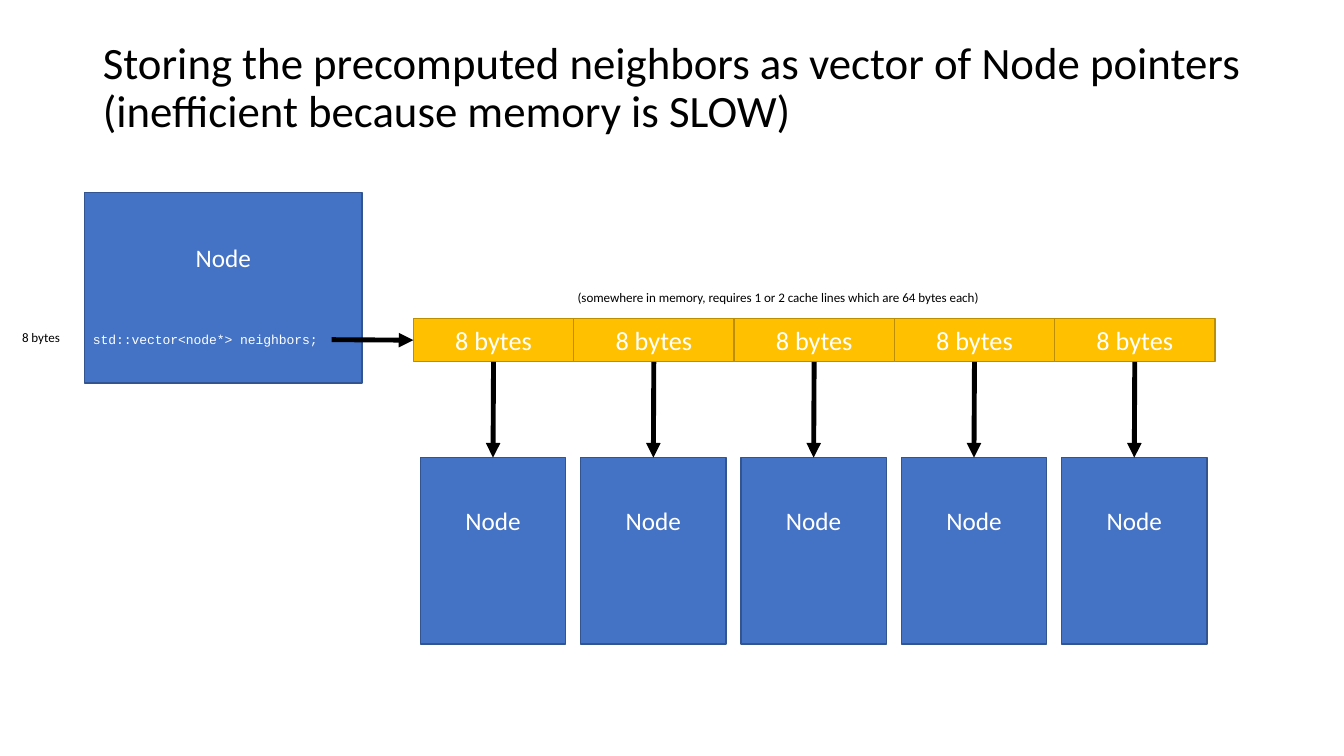
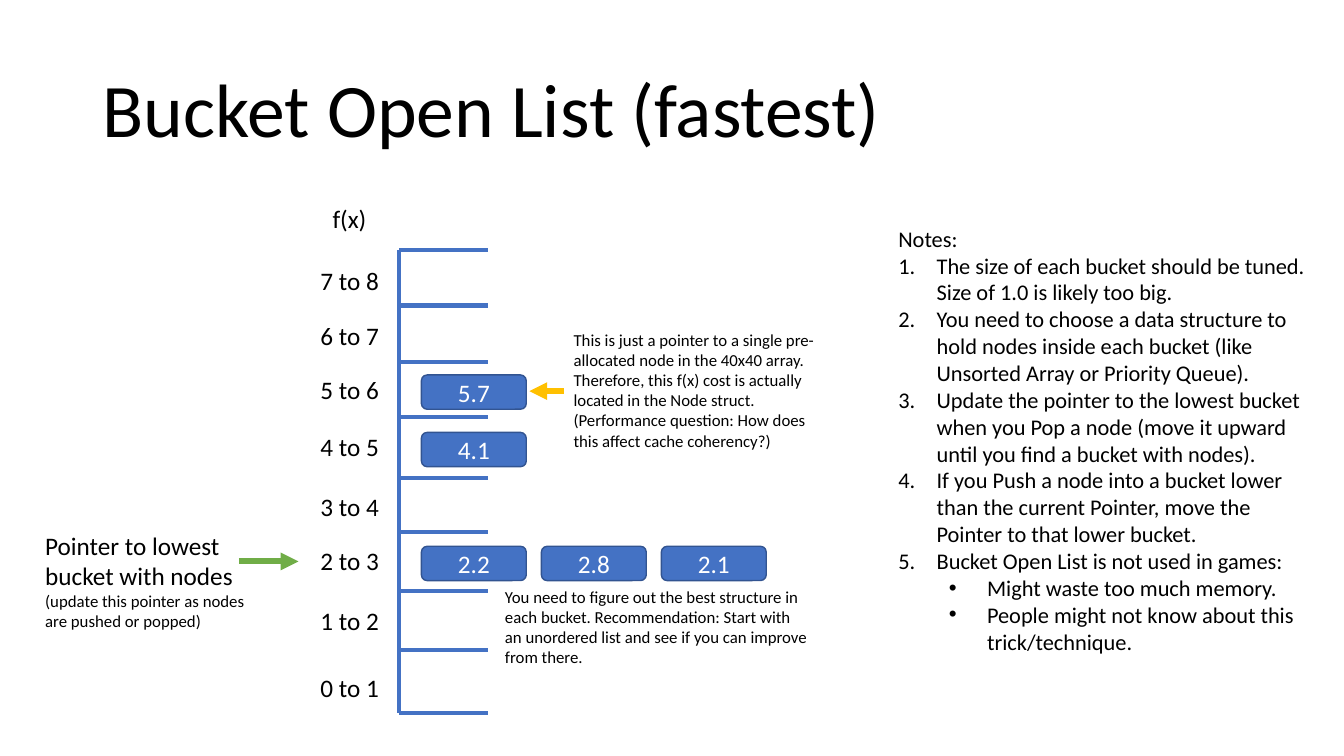
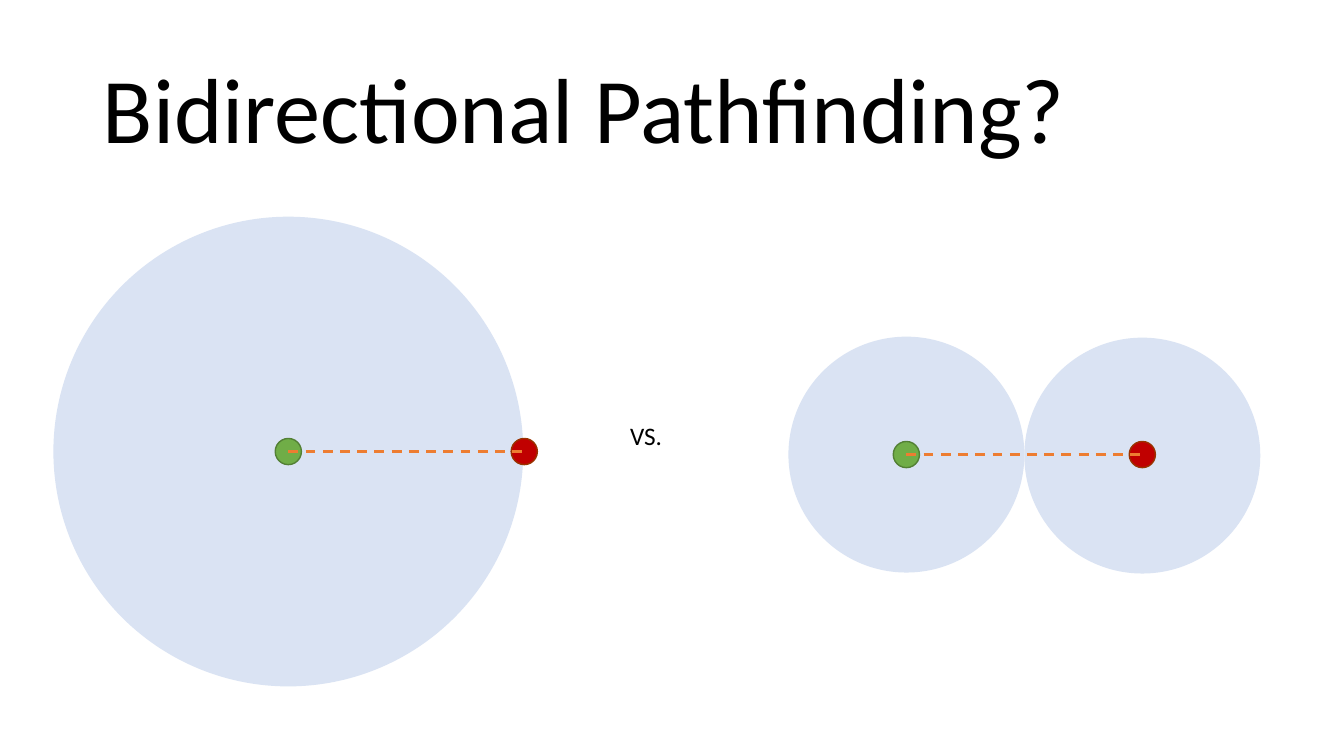
import pptx
import pptx.dml.color
import pptx.enum.dml
import pptx.enum.shapes
import pptx.enum.text
import pptx.oxml.ns
import pptx.util
import lxml.etree

Color = pptx.dml.color.RGBColor
Align = pptx.enum.text.PP_ALIGN
Anchor = pptx.enum.text.MSO_ANCHOR
AutoSize = pptx.enum.text.MSO_AUTO_SIZE
Preset = pptx.enum.shapes.MSO_SHAPE
qn = pptx.oxml.ns.qn

# Shared style: 100 px to the inch
PX = 9144
SLIDE_SIZE = (1333, 750)
TITLE_BOX = (92, 40, 1150, 145)
FONT, CODE_FONT = "Calibri", "Courier New"
BLACK = Color(0x00, 0x00, 0x00)
WHITE = Color(0xFF, 0xFF, 0xFF)
BLUE = Color(0x44, 0x72, 0xC4)
BLUE_EDGE = Color(0x32, 0x54, 0x91)
GOLD = Color(0xFF, 0xC0, 0x00)
GOLD_EDGE = Color(0xBD, 0x8E, 0x00)
GREEN = Color(0x70, 0xAD, 0x47)
GREEN_EDGE = Color(0x53, 0x80, 0x35)
RED = Color(0xC0, 0x00, 0x00)
RED_EDGE = Color(0x99, 0x33, 0x00)
ORANGE = Color(0xED, 0x7D, 0x31)
PALE_BLUE = Color(0xDA, 0xE3, 0xF3)

# Slide 1 content
POINTERS_TITLE = ("Storing the precomputed neighbors as vector of Node pointers "
                  "(inefficient because memory is SLOW)")
POINTER_COUNT, POINTER_PITCH = 5, 159
MEMORY_NOTE = "(somewhere in memory, requires 1 or 2 cache lines which are 64 bytes each)"

# Slide 2 content: bucket label, top of its rung, top of its label, costs held
BUCKETS = [
    ("7 to 8", 248, 258, []),
    ("6 to 7", 303, 313, []),
    ("5 to 6", 359, 366, ["5.7"]),
    ("4 to 5", 414, 423, ["4.1"]),
    ("3 to 4", 474, 483, []),
    ("2 to 3", 528, 536, ["2.2", "2.8", "2.1"]),
    ("1 to 2", 586, 596, []),
    ("0 to 1", 645, 662, []),
]
RAIL_LEFT, RUNG_RIGHT, RAIL_BOTTOM = 396, 484, 707
BUCKET_CAPTIONS = [
    ((35, 521, 240, 111), [("Pointer to lowest bucket with nodes", 18),
                           ("(update this pointer as nodes are pushed or popped)", 12)]),
    ((559, 322, 262, 131), [(
        "This is just a pointer to a single pre-allocated node in the 40x40 array. "
        "Therefore, this f(x) cost is actually located in the Node struct. "
        "(Performance question: How does this affect cache coherency?)", 12)]),
    ((491, 577, 321, 91), [(
        "You need to figure out the best structure in each bucket. Recommendation: "
        "Start with an unordered list and see if you can improve from there.", 12)]),
]
NOTES = [
    ("plain", "Notes:"),
    ("number", "The size of each bucket should be tuned. Size of 1.0 is likely too big."),
    ("number", "You need to choose a data structure to hold nodes inside each bucket "
               "(like Unsorted Array or Priority Queue)."),
    ("number", "Update the pointer to the lowest bucket when you Pop a node "
               "(move it upward until you find a bucket with nodes)."),
    ("number", "If you Push a node into a bucket lower than the current Pointer, "
               "move the Pointer to that lower bucket."),
    ("number", "Bucket Open List is not used in games:"),
    ("bullet", "Might waste too much memory."),
    ("bullet", "People might not know about this trick/technique."),
]
# List style: level, left margin, hanging indent, bullet element, its attributes
LIST_STYLES = {
    "plain": (0, 0, 0, "a:buNone", {}),
    "number": (0, 38, -38, "a:buAutoNum", {"type": "arabicPeriod"}),
    "bullet": (1, 88, -38, "a:buChar", {"char": "•"}),
}

# Slide 3 content: search circles (centre x, centre y, radius), and paths' start points
SEARCH_AREAS = [(899, 451, 117), (1133, 452, 117), (286, 448, 233)]
PATH_STARTS = [(899, 451), (286, 448)]
PATH_LENGTH, DOT_RADIUS = 234, 13


def px(*lengths):
    return [pptx.util.Emu(int(length * PX)) for length in lengths]


def write_text(frame, text, size=18, color=BLACK, font=FONT, align=Align.LEFT,
               anchor=Anchor.TOP, wrap=True, fit=AutoSize.NONE, spacing=None,
               bottom=5, insets=None):
    """Fill a text frame with a string or a list of (string, size) paragraphs."""
    frame.word_wrap, frame.auto_size, frame.vertical_anchor = wrap, fit, anchor
    left, top, right, low = insets or (10, 5, 10, bottom)
    frame.margin_left, frame.margin_top, frame.margin_right, frame.margin_bottom = px(
        left, top, right, low)
    lines = [(text, size)] if isinstance(text, str) else text
    for index, (line, points) in enumerate(lines):
        paragraph = frame.add_paragraph() if index else frame.paragraphs[0]
        paragraph.alignment = align
        paragraph.space_before = pptx.util.Pt(0)
        if spacing:
            paragraph.line_spacing = spacing
        run = paragraph.add_run()
        run.text = line
        run.font.size, run.font.name = pptx.util.Pt(points), font
        run.font.color.rgb = color


def add_slide(presentation, title, size, layout=5, **text_format):
    slide = presentation.slides.add_slide(presentation.slide_layouts[layout])
    place(slide.shapes.title, TITLE_BOX)
    write_text(slide.shapes.title.text_frame, title, size=size, anchor=Anchor.MIDDLE,
               spacing=0.9, **text_format)
    return slide


def place(shape, box):
    shape.left, shape.top, shape.width, shape.height = px(*box)


def add_label(slide, box, text, **text_format):
    label = slide.shapes.add_textbox(*px(*box))
    write_text(label.text_frame, text, **text_format)


def add_block(slide, preset, box, fill, edge=None, text=None, **text_format):
    shape = slide.shapes.add_shape(preset, *px(*box))
    shape.shadow.inherit = False
    shape.fill.solid()
    shape.fill.fore_color.rgb = fill
    if edge is None:
        shape.line.fill.background()
    else:
        shape.line.color.rgb = edge
        shape.line.width = pptx.util.Pt(1)
    if text:
        write_text(shape.text_frame, text, color=WHITE, align=Align.CENTER,
                   anchor=Anchor.MIDDLE, **text_format)
    return shape


def add_node(slide, box):
    return add_block(slide, Preset.RECTANGLE, box, BLUE, BLUE_EDGE, "Node", bottom=66)


def add_circle(slide, x, y, radius, fill, edge=None):
    box = (x - radius, y - radius, 2 * radius, 2 * radius)
    return add_block(slide, Preset.OVAL, box, fill, edge)


def add_line(slide, ends, color, width, arrow=False, dash=False):
    line = slide.shapes.add_connector(pptx.enum.shapes.MSO_CONNECTOR.STRAIGHT, *px(*ends))
    line.line.color.rgb = color
    line.line.width = pptx.util.Pt(width)
    if dash:
        line.line.dash_style = pptx.enum.dml.MSO_LINE.DASH
    properties = line._element.spPr
    if arrow:
        outline = properties.find(qn("a:ln"))
        lxml.etree.SubElement(outline, qn("a:tailEnd"), type="triangle")
    lxml.etree.SubElement(properties, qn("a:effectLst"))
    return line


def build_pointers(presentation):
    slide = add_slide(presentation, POINTERS_TITLE, 32, bottom=54)
    add_node(slide, (84, 191, 275, 189))

    # Vector cells, each pointing at its node
    cells = []
    for index in range(POINTER_COUNT):
        shift = index * POINTER_PITCH
        cell = add_block(slide, Preset.RECTANGLE, (410 + shift, 316, POINTER_PITCH, 43),
                         GOLD, GOLD_EDGE, "8 bytes", size=18.7)
        node = add_node(slide, (417 + shift, 454, 144, 185))
        arrow = add_line(slide, (489 + shift, 359, 489 + shift, 454), BLACK, 3.5, arrow=True)
        arrow.begin_connect(cell, 2)
        arrow.end_connect(node, 0)
        cells.append(cell)
    arrow = add_line(slide, (329, 337, 410, 337), BLACK, 3.5, arrow=True)
    arrow.end_connect(cells[0], 1)

    # Captions
    add_label(slide, (92, 329, 335, 16), "std::vector<node*> neighbors;", size=9.3,
              color=WHITE, font=CODE_FONT, anchor=Anchor.MIDDLE, insets=(0, 0, 0, 0))
    for box, text in [((12, 322, 59, 26), "8 bytes"), ((563, 282, 428, 26), MEMORY_NOTE)]:
        add_label(slide, box, text, size=9.3, wrap=False, fit=AutoSize.SHAPE_TO_FIT_TEXT)


def build_buckets(presentation):
    slide = add_slide(presentation, "Bucket Open List (fastest)", 54, layout=1)

    # Bucket ladder
    rungs = [rung for _, rung, _, _ in BUCKETS] + [RAIL_BOTTOM]
    add_line(slide, (RAIL_LEFT, rungs[0], RAIL_LEFT, RAIL_BOTTOM), BLUE, 3)
    for rung in rungs:
        add_line(slide, (RAIL_LEFT, rung, RUNG_RIGHT, rung), BLUE, 3)

    # Range labels and the nodes in each bucket
    label_format = {"wrap": False, "fit": AutoSize.SHAPE_TO_FIT_TEXT}
    add_label(slide, (320, 197, 54, 40), "f(x)", **label_format)
    for label, _, top, costs in BUCKETS:
        add_label(slide, (308, top, 79, 40), label, **label_format)
        for index, cost in enumerate(costs):
            add_block(slide, Preset.ROUNDED_RECTANGLE, (418 + 119 * index, top + 6, 104, 34),
                      BLUE, BLUE_EDGE, cost)

    # Captions and their arrows
    for box, lines in BUCKET_CAPTIONS:
        add_label(slide, box, lines)
    add_line(slide, (237, 557, 296, 557), GREEN, 4.25, arrow=True)
    add_line(slide, (559, 388, 525, 388), GOLD, 4.25, arrow=True)

    # Notes list
    body = slide.placeholders[1]
    place(body, (881, 218, 426, 441))
    write_text(body.text_frame, [(text, 16) for _, text in NOTES])
    for paragraph, (style, _) in zip(body.text_frame.paragraphs, NOTES):
        level, margin, indent, bullet, attributes = LIST_STYLES[style]
        paragraph.level = level
        properties = paragraph._p.get_or_add_pPr()
        properties.set("marL", str(margin * PX))
        properties.set("indent", str(indent * PX))
        if style != "plain":
            typeface = "Arial" if style == "bullet" else FONT
            lxml.etree.SubElement(properties, qn("a:buFont"), typeface=typeface)
        lxml.etree.SubElement(properties, qn(bullet), **attributes)


def build_bidirectional(presentation):
    slide = add_slide(presentation, "Bidirectional Pathfinding?", 66)
    for x, y, radius in SEARCH_AREAS:
        add_circle(slide, x, y, radius, PALE_BLUE)
    for x, y in PATH_STARTS:
        add_circle(slide, x, y, DOT_RADIUS, GREEN, GREEN_EDGE)
        add_circle(slide, x + PATH_LENGTH, y, DOT_RADIUS, RED, RED_EDGE)
        add_line(slide, (x, y, x + PATH_LENGTH + 3, y), ORANGE, 1.75, dash=True)
    add_label(slide, (615, 412, 52, 40), "VS.", wrap=False, fit=AutoSize.SHAPE_TO_FIT_TEXT)


def main():
    presentation = pptx.Presentation()
    presentation.slide_width, presentation.slide_height = px(*SLIDE_SIZE)
    build_pointers(presentation)
    build_buckets(presentation)
    build_bidirectional(presentation)
    presentation.save("out.pptx")


if __name__ == "__main__":
    main()
